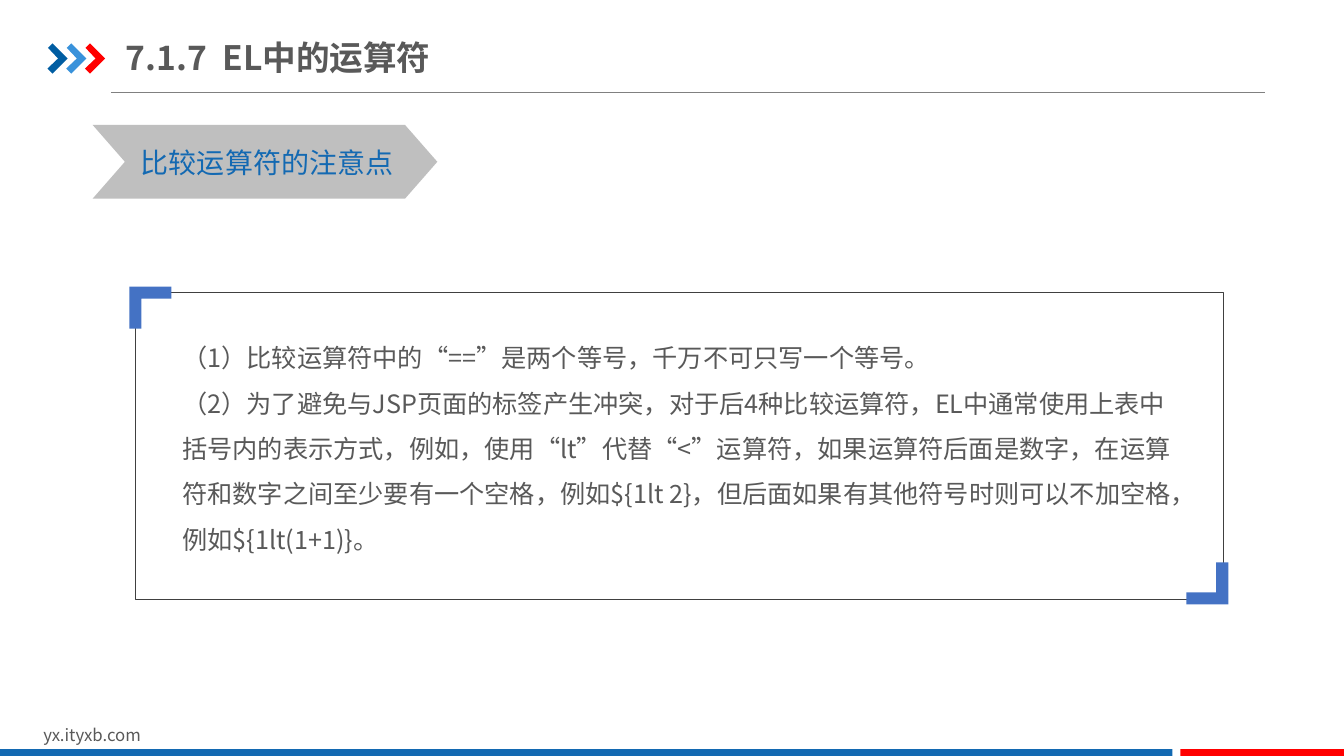
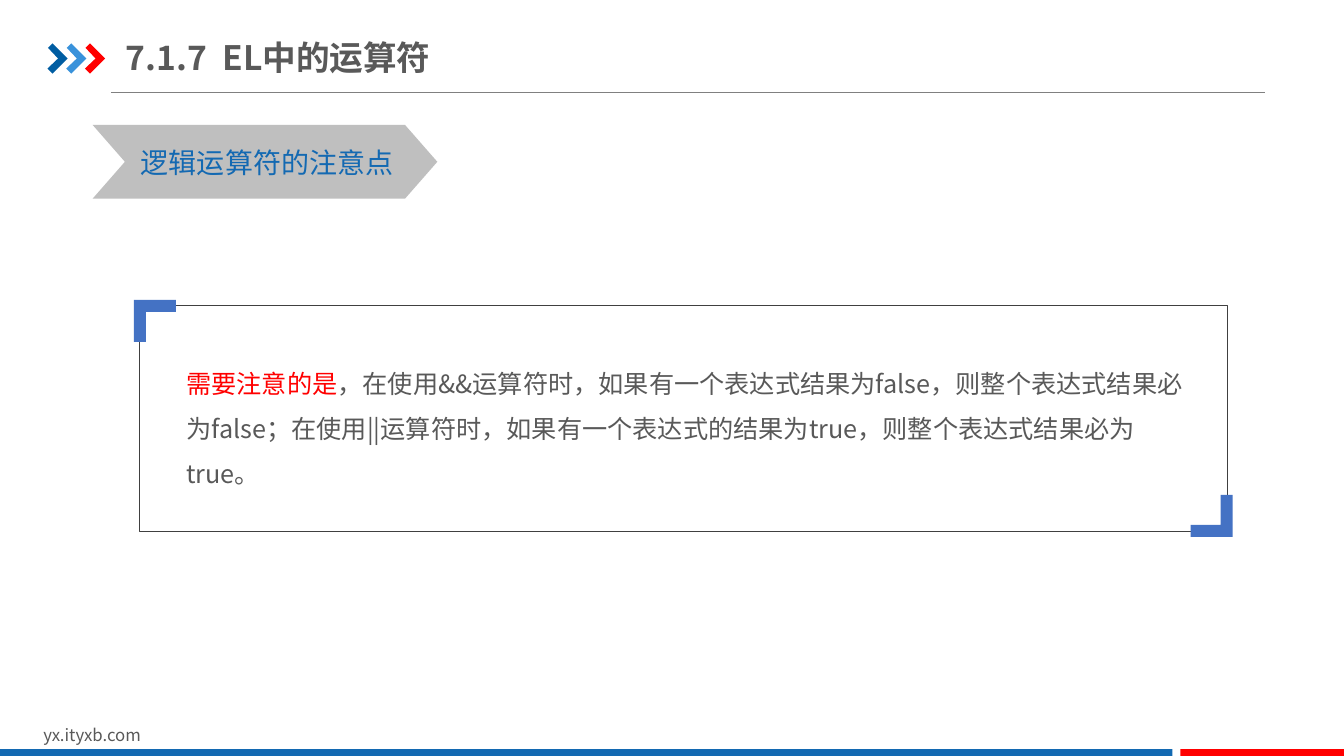
from lxml import etree
from pptx import Presentation
from pptx.dml.color import RGBColor
from pptx.enum import shapes, text
from pptx.oxml import ns
from pptx.util import Pt

FONT = "Noto Sans CJK SC"
COLOURS = {
    "text": "595959",
    "blue": "1369B2",
    "dark_blue": "005DA2",
    "light_blue": "3992DB",
    "red": "FF0000",
    "banner": "BFBFBF",
    "rule": "808080",
    "frame": "404040",
    "bracket": "4472C4",
}
SHAPE = shapes.MSO_SHAPE
BRACKET = [(0, 0), (30, 0), (30, 8.6), (8.6, 8.6), (8.6, 30), (0, 30)]
ARROW = [(0.4, 3.2), (3.6, 0), (14.4, 10.8), (3.6, 21.6), (0, 18), (7.6, 10.8)]
OVERHANG = 4

PAGES = [
    {
        "topic": "比较运算符的注意点",
        "frame": (96.5, 208.8, 776.9, 218.9),
        "body": (123.1, 230.4, 725.8, 173.5),
        "notes": [
            [("（1）比较运算符中的“==”是两个等号，千万不可只写一个等号。", "text")],
            [("（2）为了避免与JSP页面的标签产生冲突，对于后4种比较运算符，"
              "EL中通常使用上表中括号内的表示方式，例如，使用“lt”代替“<”运算符，"
              "如果运算符后面是数字，在运算符和数字之间至少要有一个空格，"
              "例如${1lt 2}，但后面如果有其他符号时则可以不加空格，"
              "例如${1lt(1+1)}。", "text")],
        ],
    },
    {
        "topic": "逻辑运算符的注意点",
        "frame": (99.6, 218.2, 776.9, 161.3),
        "body": (126, 248.4, 725.8, 102.2),
        "notes": [
            [("需要注意的是", "red"),
             ("，在使用&&运算符时，如果有一个表达式结果为false，"
              "则整个表达式结果必为false；在使用||运算符时，"
              "如果有一个表达式的结果为true，则整个表达式结果必为true。", "text")],
        ],
    },
]


def paint(shape, colour):
    shape.shadow.inherit = False
    shape.fill.solid()
    shape.fill.fore_color.rgb = RGBColor.from_string(COLOURS[colour])
    shape.line.fill.background()


def write(slide, area, paragraphs, size, bold=False, spacing=1.0,
          insets=(7.2, 3.6), anchor=text.MSO_ANCHOR.TOP):
    frame = slide.shapes.add_textbox(*map(Pt, area)).text_frame
    frame.word_wrap = True
    frame.vertical_anchor = anchor
    frame.margin_left = frame.margin_right = Pt(insets[0])
    frame.margin_top = frame.margin_bottom = Pt(insets[1])
    for index, runs in enumerate(paragraphs):
        paragraph = frame.add_paragraph() if index else frame.paragraphs[0]
        paragraph.line_spacing = spacing
        for words, colour in runs:
            run = paragraph.add_run()
            run.text = words
            run.font.name = FONT
            run.font.size = Pt(size)
            run.font.bold = bold
            run.font.color.rgb = RGBColor.from_string(COLOURS[colour])
            east_asian = etree.SubElement(run.font._element, ns.qn("a:ea"))
            east_asian.set("typeface", FONT)


deck = Presentation()
deck.slide_width = Pt(960)
deck.slide_height = Pt(540)

for page in PAGES:
    slide = deck.slides.add_slide(deck.slide_layouts[6])

    rule = slide.shapes.add_connector(
        shapes.MSO_CONNECTOR.STRAIGHT, Pt(79.2), Pt(65.8), Pt(903.6), Pt(65.8))
    rule.line.color.rgb = RGBColor.from_string(COLOURS["rule"])
    rule.line.width = Pt(0.5)
    etree.SubElement(rule._element.spPr, ns.qn("a:effectLst"))

    for kind, area, colour in [
        (SHAPE.RECTANGLE, (0, 535, 837.4, 6.5), "blue"),
        (SHAPE.RECTANGLE, (843.1, 535, 117.4, 6.5), "red"),
        (SHAPE.CHEVRON, (66.2, 89.3, 246.2, 52.6), "banner"),
    ]:
        block = slide.shapes.add_shape(kind, *map(Pt, area))
        paint(block, colour)
        if kind == SHAPE.CHEVRON:
            block.adjustments[0] = 0.438

    left, top, width, height = page["frame"]
    border = slide.shapes.add_shape(SHAPE.RECTANGLE, *map(Pt, page["frame"]))
    border.shadow.inherit = False
    border.fill.background()
    border.line.color.rgb = RGBColor.from_string(COLOURS["frame"])
    border.line.width = Pt(0.25)

    outlines = [(ARROW, 33.9 + 13.4 * step, 31, 1, colour)
                for step, colour in enumerate(["dark_blue", "light_blue", "red"])]
    outlines += [
        (BRACKET, left - OVERHANG, top - OVERHANG, 1, "bracket"),
        (BRACKET, left + width + OVERHANG, top + height + OVERHANG, -1, "bracket"),
    ]
    for corners, x, y, direction, colour in outlines:
        points = [(Pt(x + direction * dx), Pt(y + direction * dy)) for dx, dy in corners]
        builder = slide.shapes.build_freeform(*points[0])
        builder.add_line_segments(points[1:], close=True)
        paint(builder.convert_to_shape(), colour)

    write(slide, (90, 20.9, 247.7, 39.6), [[("7.1.7  EL中的运算符", "text")]], 24,
          bold=True, insets=(0, 5), anchor=text.MSO_ANCHOR.MIDDLE)
    write(slide, (93.6, 100.1, 200, 31.7), [[(page["topic"], "blue")]], 20)
    write(slide, page["body"], page["notes"], 18, spacing=1.5)
    write(slide, (23.8, 514.1, 229, 21.6), [[("yx.ityxb.com", "text")]], 12)

deck.save("out.pptx")
